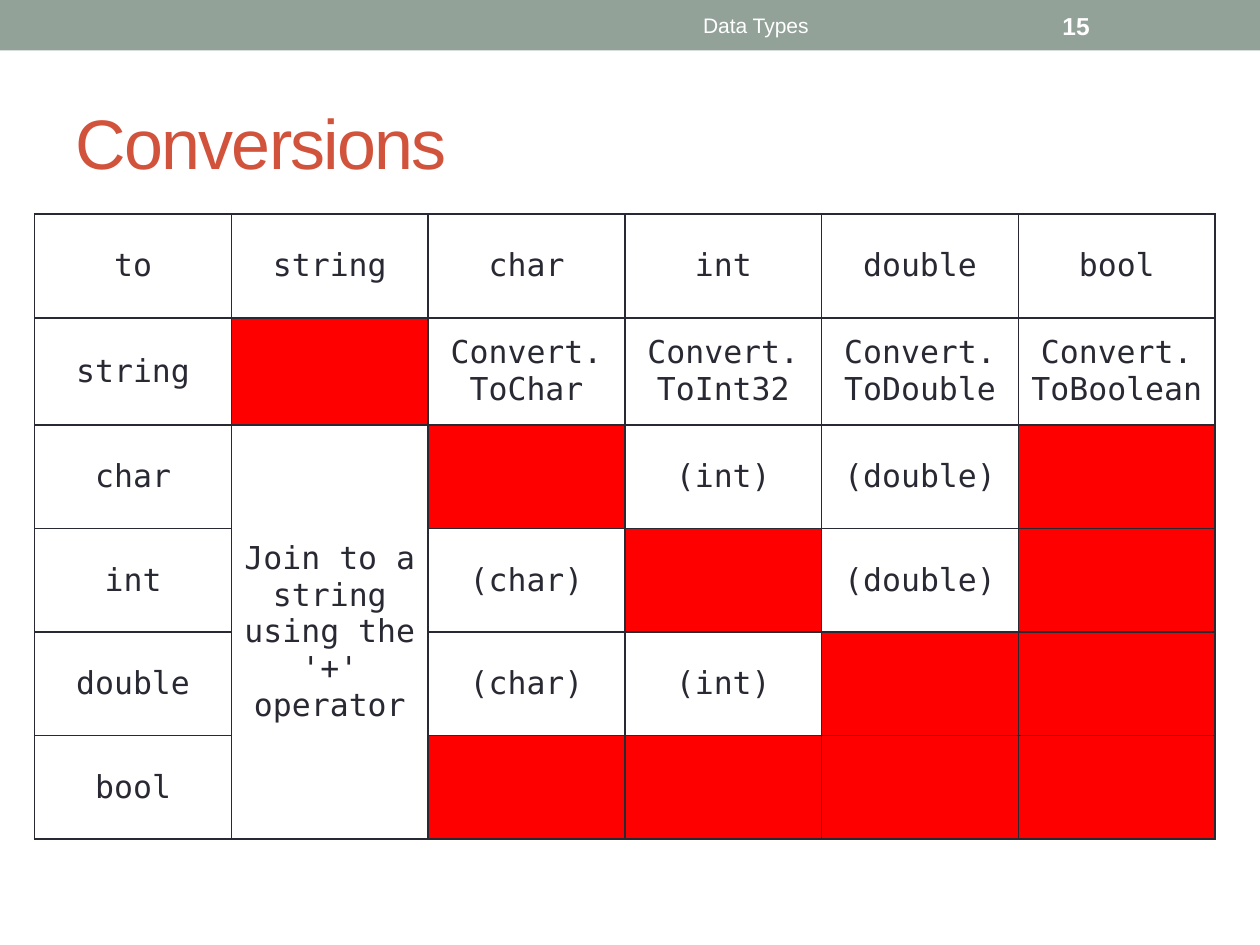
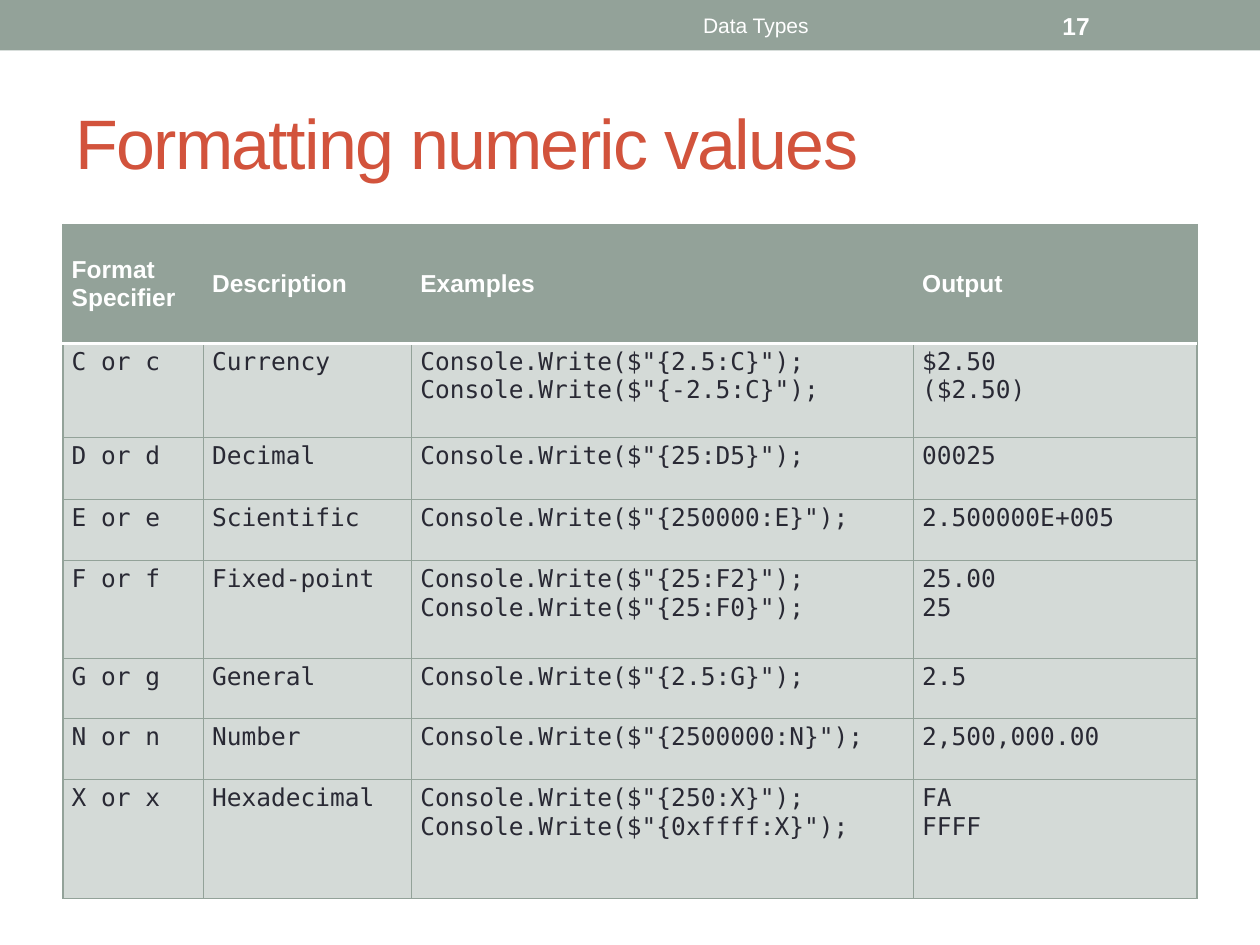
from copy import deepcopy
from dataclasses import dataclass

from lxml import etree
from pptx import Presentation
from pptx import util as u
from pptx.dml.color import RGBColor
from pptx.enum import shapes, text
from pptx.oxml.ns import qn

Pt = u.Pt
MIDDLE, TOP = text.MSO_ANCHOR.MIDDLE, text.MSO_ANCHOR.TOP
LEFT, CENTER = text.PP_ALIGN.LEFT, text.PP_ALIGN.CENTER


@dataclass(frozen=True)
class Theme:
    band: str = "93A299"
    tint: str = "D4DAD7"
    accent: str = "D2533C"
    ink: str = "292934"
    white: str = "FFFFFF"
    blocked: str = "FF0000"
    sans: str = "Arial"
    mono: str = "DejaVu Sans Mono"
    title_size: float = 40
    matrix_size: float = 18
    body_size: float = 14
    footer_size: float = 12


T = Theme()


@dataclass(frozen=True)
class Style:
    """Look of a piece of text."""
    size: float
    color: str
    font: str = T.sans
    bold: bool = False
    align: int = LEFT
    anchor: int = MIDDLE


@dataclass(frozen=True)
class Line:
    color: str
    width: float


@dataclass(frozen=True)
class Box:
    left: float
    top: float
    width: float
    height: float

    def lengths(self) -> tuple:
        return Pt(self.left), Pt(self.top), Pt(self.width), Pt(self.height)


TITLE = Style(T.title_size, T.accent)
FOOTER = Style(T.footer_size, T.white, align=CENTER)
NUMBER = Style(T.body_size, T.white, bold=True)
MATRIX = Style(T.matrix_size, T.ink, T.mono, align=CENTER)
HEADER = Style(T.body_size, T.white, bold=True)
BODY = Style(T.body_size, T.ink, T.mono, anchor=TOP)

X = None  # no conversion available
MERGED = ""  # covered by the cell above
CONVERSIONS = [
    ["to", "string", "char", "int", "double", "bool"],
    ["string", X, "Convert.\nToChar", "Convert.\nToInt32",
     "Convert.\nToDouble", "Convert.\nToBoolean"],
    ["char", "Join to a string using the '+' operator", X, "(int)", "(double)", X],
    ["int", MERGED, "(char)", X, "(double)", X],
    ["double", MERGED, "(char)", "(int)", X, X],
    ["bool", MERGED, X, X, X, X],
]

# Specifier letter, description, format expressions, outputs
FORMATS = [
    ("C", "Currency", ["2.5:C", "-2.5:C"], ["$2.50", "($2.50)"]),
    ("D", "Decimal", ["25:D5"], ["00025"]),
    ("E", "Scientific", ["250000:E"], ["2.500000E+005"]),
    ("F", "Fixed-point", ["25:F2", "25:F0"], ["25.00", "25"]),
    ("G", "General", ["2.5:G"], ["2.5"]),
    ("N", "Number", ["2500000:N"], ["2,500,000.00"]),
    ("X", "Hexadecimal", ["250:X", "0xffff:X"], ["FA", "FFFF"]),
]


def write(tf, content: str, style: Style) -> None:
    """Fill a text frame with one paragraph; newlines become line breaks."""
    p = tf.paragraphs[0]
    p.text = content
    p.alignment = style.align
    for r in p.runs:
        formats = {"size": Pt(style.size), "name": style.font, "bold": style.bold}
        for name, value in formats.items():
            setattr(r.font, name, value)
        r.font.color.rgb = RGBColor.from_string(style.color)
    for br in p._p.findall(qn("a:br")):
        br.insert(0, deepcopy(p.runs[0]._r.rPr))


def add_label(s, box: Box, content: str, style: Style) -> None:
    tf = s.shapes.add_textbox(*box.lengths()).text_frame
    tf.word_wrap = True
    tf.vertical_anchor = style.anchor
    write(tf, content, style)


def new_slide(prs, title: str, number: int):
    """Slide with the shared band, title, footer and number."""
    s = prs.slides.add_slide(prs.slide_layouts[5])
    # Top band
    band = s.shapes.add_shape(shapes.MSO_SHAPE.RECTANGLE, *Box(0, 0, 720, 28.8).lengths())
    band.shadow.inherit = False
    band.fill.solid()
    band.fill.fore_color.rgb = RGBColor.from_string(T.band)
    band.line.fill.background()
    # Title
    sp = s.shapes.title
    sp.left, sp.top, sp.width, sp.height = Box(36, 42, 648, 78).lengths()
    formats = {"word_wrap": True, "auto_size": text.MSO_AUTO_SIZE.NONE,
               "vertical_anchor": TITLE.anchor}
    for name, value in formats.items():
        setattr(sp.text_frame, name, value)
    write(sp.text_frame, title, TITLE)
    sp.text_frame.paragraphs[0].runs[0]._r.rPr.set("spc", "-100")
    # Footer and number
    add_label(s, Box(270, 1.5, 324, 26), "Data Types", FOOTER)
    add_label(s, Box(600, 1.5, 84, 26), str(number), NUMBER)
    return s


def new_table(s, left: float, top: float, cols: list[float], rows: list[float]):
    """Plain table with the given column widths and row heights."""
    box = Box(left, top, sum(cols), sum(rows))
    table = s.shapes.add_table(len(rows), len(cols), *box.lengths()).table
    table.first_row = table.horz_banding = False
    for col, width in zip(table.columns, cols):
        col.width = Pt(width)
    for row, height in zip(table.rows, rows):
        row.height = Pt(height)
    return table


def paint(cell, fill: str | None, line: Line, **sides: Line) -> None:
    """Fill a cell and draw its borders; sides override single edges."""
    if fill:
        cell.fill.solid()
        cell.fill.fore_color.rgb = RGBColor.from_string(fill)
    else:
        cell.fill.background()
    tc_pr = cell._tc.get_or_add_tcPr()
    for i, side in enumerate("LRTB"):
        edge = sides.get(side, line)
        ln = etree.Element(qn(f"a:ln{side}"), w=str(Pt(edge.width)))
        solid = etree.SubElement(ln, qn("a:solidFill"))
        etree.SubElement(solid, qn("a:srgbClr"), val=edge.color)
        tc_pr.insert(i, ln)


def set_cell(cell, content: str, style: Style) -> None:
    cell.vertical_anchor = style.anchor
    write(cell.text_frame, content, style)


def conversions_slide(prs) -> None:
    s = new_slide(prs, "Conversions", 15)
    table = new_table(s, 19.8, 122.4, [112.45] * 6, [59.2, 61.2] + [59.2] * 4)
    table.cell(2, 1).merge(table.cell(5, 1))
    grid = Line(T.ink, 1)
    for i, row in enumerate(CONVERSIONS):
        for j, content in enumerate(row):
            cell = table.cell(i, j)
            paint(cell, T.blocked if content is X else None, grid)
            if content:
                set_cell(cell, content, MATRIX)


def formats_slide(prs) -> None:
    s = new_slide(prs, "Formatting numeric values", 17)
    heights = [68, 53.8, 35.4, 35, 56, 34.2, 35, 68]
    table = new_table(s, 36, 128.2, [80.2, 119, 286.8, 162], heights)
    grid, rule = Line(T.band, 0.75), Line(T.white, 2.08)
    rows = [["Format Specifier", "Description", "Examples", "Output"]]
    for letter, name, values, outputs in FORMATS:
        calls = [f'Console.Write($"{{{value}}}");' for value in values]
        rows.append([f"{letter} or {letter.lower()}", name,
                     "\n".join(calls), "\n".join(outputs)])
    margins = {"margin_left": 5, "margin_right": 5, "margin_top": 2.2, "margin_bottom": 2.2}
    for i, row in enumerate(rows):
        # A white rule parts the header from the body
        sides = {0: {"B": rule}, 1: {"T": rule}}.get(i, {})
        for j, content in enumerate(row):
            cell = table.cell(i, j)
            for name, value in margins.items():
                setattr(cell, name, Pt(value))
            paint(cell, T.tint if i else T.band, grid, **sides)
            set_cell(cell, content, BODY if i else HEADER)


def main() -> None:
    prs = Presentation()
    prs.slide_width, prs.slide_height = Pt(720), Pt(540)
    conversions_slide(prs)
    formats_slide(prs)
    prs.save("out.pptx")


main()
